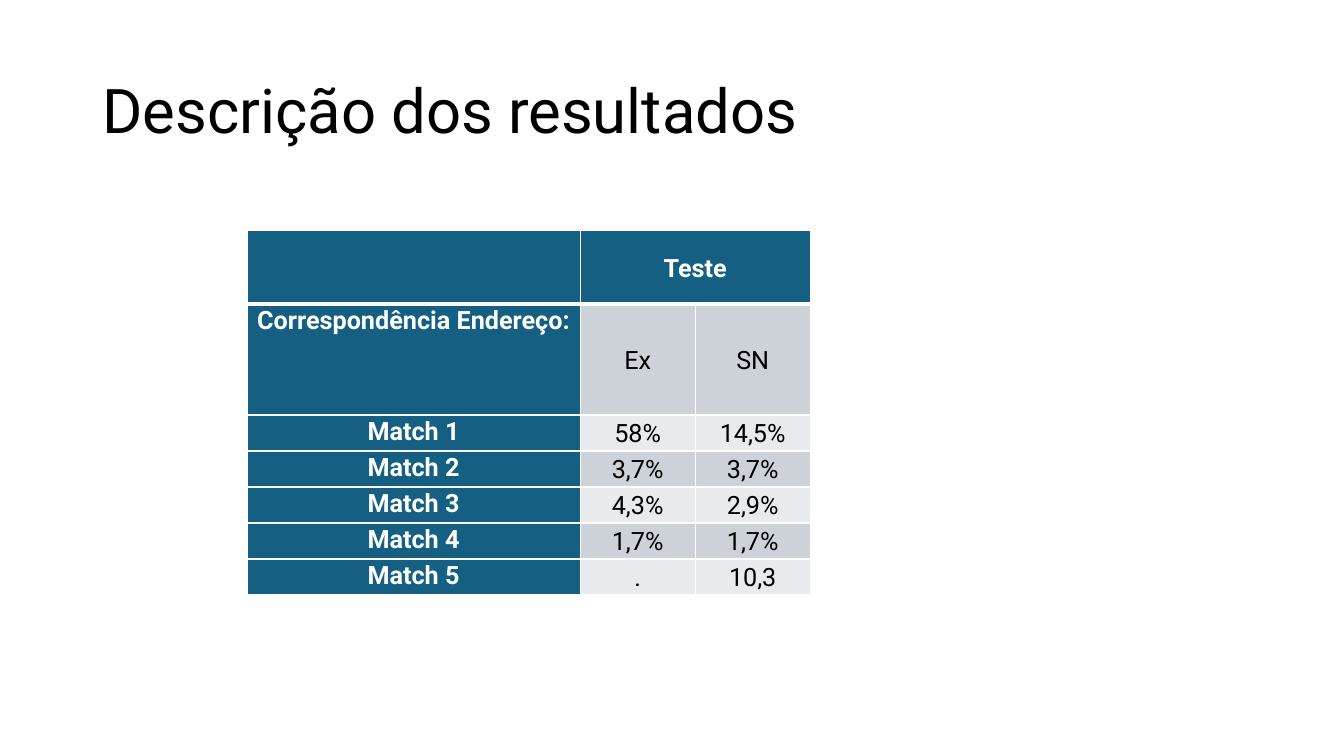
"""Build the results slide: a title and a table of address match rates."""
from dataclasses import dataclass

from lxml import etree
from pptx import Presentation
from pptx import util as u
from pptx.dml.color import RGBColor
from pptx.enum import text
from pptx.oxml import ns


@dataclass(frozen=True)
class Theme:
    font: str = "Roboto"
    title_size: float = 44
    table_size: float = 18
    ink: str = "000000"
    white: str = "FFFFFF"
    header: str = "156082"
    bands: tuple = ("CCD2D8", "E8EAED")
    thin: float = 1
    thick: float = 3


def write(frame, content, *, font, size, color, bold=False,
          align=text.PP_ALIGN.LEFT, line_spacing=0.9, space_after=0):
    paragraph = frame.paragraphs[0]
    paragraph.alignment = align
    paragraph.line_spacing = line_spacing
    paragraph.space_before = u.Pt(0)
    paragraph.space_after = u.Pt(space_after)
    run = paragraph.add_run()
    run.text = content
    run.font.name = font
    run.font.size = u.Pt(size)
    run.font.bold = bold
    run.font.color.rgb = RGBColor.from_string(color)


class SlideBuilder:
    def __init__(self, slide, theme):
        self.slide = slide
        self.theme = theme

    def title(self, content, left, top, width, height):
        shape = self.slide.shapes.title
        shape.left, shape.top = u.Pt(left), u.Pt(top)
        shape.width, shape.height = u.Pt(width), u.Pt(height)
        shape.text_frame.vertical_anchor = text.MSO_ANCHOR.MIDDLE
        write(shape.text_frame, content, font=self.theme.font,
              size=self.theme.title_size, color=self.theme.ink)

    def borders(self, cell, row_index):
        theme = self.theme
        widths = {
            "L": theme.thin,
            "R": theme.thin,
            "T": theme.thick if row_index == 1 else theme.thin,
            "B": theme.thick if row_index == 0 else theme.thin,
        }
        properties = cell._tc.get_or_add_tcPr()
        for side, width in widths.items():
            line = etree.SubElement(properties, ns.qn(f"a:ln{side}"), w=str(u.Pt(width)))
            fill = etree.SubElement(line, ns.qn("a:solidFill"))
            etree.SubElement(fill, ns.qn("a:srgbClr"), val=theme.white)

    def cell(self, cell, content, row_index, column_index):
        theme = self.theme
        is_header = row_index == 0 or column_index == 0
        is_label = row_index > 0 and column_index == 0
        self.borders(cell, row_index)
        fill = theme.header if is_header else theme.bands[(row_index - 1) % 2]
        cell.fill.solid()
        cell.fill.fore_color.rgb = RGBColor.from_string(fill)
        cell.margin_left = cell.margin_right = u.Pt(5)
        cell.margin_top = cell.margin_bottom = u.Pt(0)
        cell.vertical_anchor = text.MSO_ANCHOR.TOP if is_label else text.MSO_ANCHOR.MIDDLE
        if content:
            write(cell.text_frame, content, font=theme.font, size=theme.table_size,
                  color=theme.white if is_header else theme.ink, bold=is_header,
                  align=text.PP_ALIGN.CENTER, line_spacing=1.07, space_after=8)

    def table(self, rows, left, top, widths, heights):
        frame = self.slide.shapes.add_table(
            len(rows), len(widths), u.Pt(left), u.Pt(top),
            u.Pt(sum(widths)), u.Pt(sum(heights)))
        table = frame.table
        for column, width in zip(table.columns, widths):
            column.width = u.Pt(width)
        for row, height in zip(table.rows, heights):
            row.height = u.Pt(height)
        for row_index, row in enumerate(rows):
            for column_index, content in enumerate(row):
                self.cell(table.cell(row_index, column_index), content,
                          row_index, column_index)
        table.cell(0, 1).merge(table.cell(0, 2))


def main():
    presentation = Presentation()
    presentation.slide_width, presentation.slide_height = u.Pt(960), u.Pt(540)
    slide = presentation.slides.add_slide(presentation.slide_layouts[5])
    builder = SlideBuilder(slide, Theme())
    builder.title("Descrição dos resultados", 66, 28.75, 828, 104.4)
    rows = [
        ("", "Teste", ""),
        ("Correspondência Endereço:", "Ex", "SN"),
        ("Match 1", "58%", "14,5%"),
        ("Match 2", "3,7%", "3,7%"),
        ("Match 3", "4,3%", "2,9%"),
        ("Match 4", "1,7%", "1,7%"),
        ("Match 5", ".", "10,3"),
    ]
    builder.table(rows, 176.4, 164.9, widths=[238, 82.2, 82.2],
                  heights=[52.5, 79] + [25.75] * 5)
    presentation.save("out.pptx")


if __name__ == "__main__":
    main()
